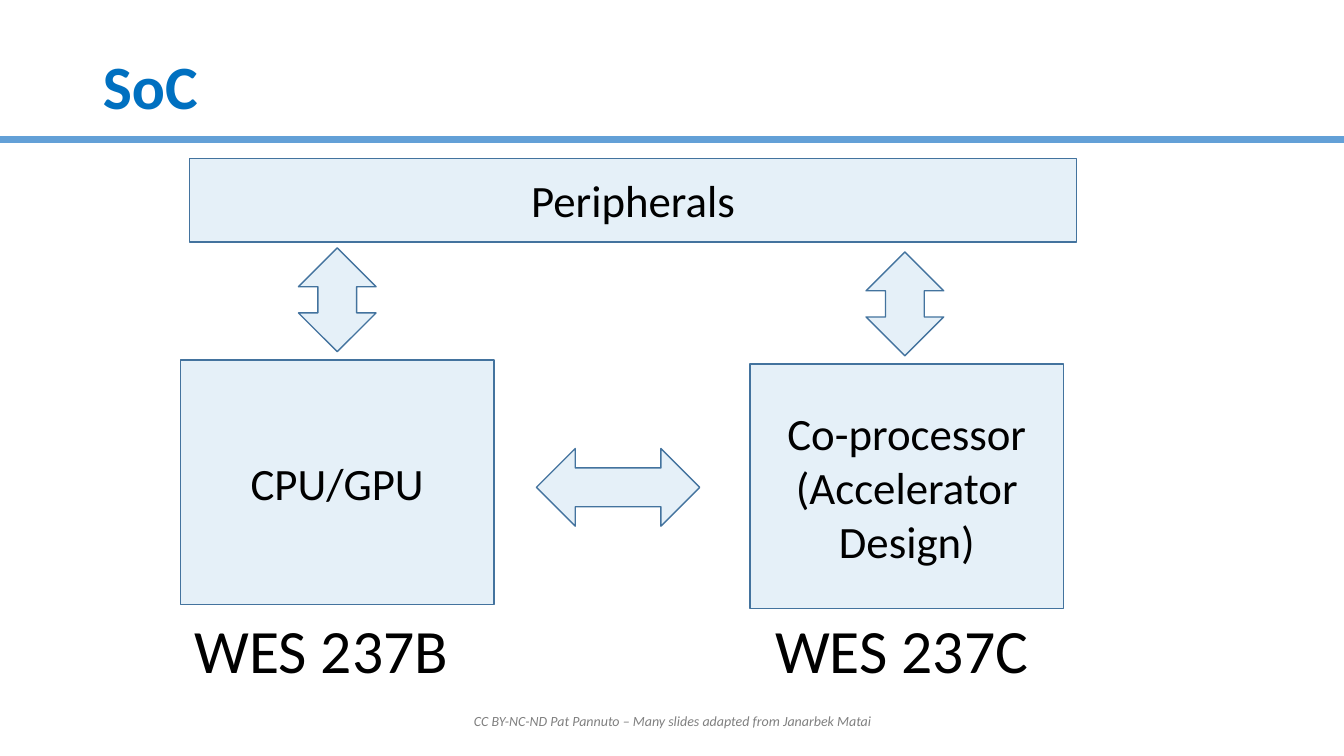
from dataclasses import dataclass

from lxml.etree import SubElement
from pptx import Presentation
from pptx.dml.color import RGBColor as Rgb
from pptx.enum.shapes import MSO_CONNECTOR as Link, MSO_SHAPE as Kind
from pptx.enum.text import MSO_ANCHOR as Anchor, MSO_AUTO_SIZE as Fit, PP_ALIGN as Align
from pptx.oxml.ns import qn
from pptx.slide import Slide
from pptx.text.text import TextFrame
from pptx.util import Inches, Pt

COLORS = {
    "rule": "63A0D7",
    "accent": "0070C0",
    "edge": "43739E",
    "text": "000000",
    "credit": "808080",
}


@dataclass
class Block:
    left: float
    top: float
    width: float
    height: float
    text: str = ""
    kind: Kind = Kind.RECTANGLE
    turn: float = 0


@dataclass
class Label:
    left: float
    top: float
    width: float
    height: float
    text: str
    size: float = 44
    color: str = "text"
    italic: bool = False
    wrap: bool = False
    fit: Fit = Fit.SHAPE_TO_FIT_TEXT
    align: Align = Align.LEFT
    anchor: Anchor = Anchor.TOP


ARROW = Kind.LEFT_RIGHT_ARROW
BLOCKS = [
    Block(1.79, 3.57, 3.11, 2.43, "CPU/GPU"),
    Block(7.44, 3.61, 3.11, 2.43, "Co-processor (Accelerator Design)"),
    Block(1.88, 1.57, 8.8, 0.83, "Peripherals"),
    Block(5.32, 4.45, 1.62, 0.77, kind=ARROW),
    Block(8.46, 2.63, 1.03, 0.77, kind=ARROW, turn=90),
    Block(2.83, 2.59, 1.03, 0.77, kind=ARROW, turn=90),
]
LABELS = [
    Label(1.83, 6.02, 2.74, 0.84, "WES 237B"),
    Label(7.59, 6.02, 2.74, 0.84, "WES 237C"),
    Label(4.42, 6.95, 4.5, 0.4,
          "CC BY-NC-ND Pat Pannuto – Many slides adapted from Janarbek Matai",
          size=10, color="credit", italic=True, wrap=True, fit=Fit.NONE,
          align=Align.CENTER, anchor=Anchor.MIDDLE),
]


def rgb(name: str) -> Rgb:
    return Rgb.from_string(COLORS[name])


def box(item: Block | Label) -> list[Inches]:
    return [Inches(n) for n in (item.left, item.top, item.width, item.height)]


def write(frame: TextFrame, text: str, size: float, color: str,
          align: Align, anchor: Anchor, bold: bool = False,
          italic: bool = False) -> None:
    frame.text = text
    frame.vertical_anchor = anchor
    para = frame.paragraphs[0]
    para.alignment = align
    font = para.font
    font.name = "Calibri"
    font.size = Pt(size)
    font.bold = bold
    font.italic = italic
    font.color.rgb = rgb(color)


def draw_block(slide: Slide, block: Block) -> None:
    shape = slide.shapes.add_shape(block.kind, *box(block))
    shape.rotation = block.turn
    shape.shadow.inherit = False
    shape.fill.solid()
    shape.fill.fore_color.rgb = rgb("accent")
    tint = shape.fill._xPr.find(qn("a:solidFill")).find(qn("a:srgbClr"))
    SubElement(tint, qn("a:alpha"), val="10000")
    shape.line.color.rgb = rgb("edge")
    shape.line.width = Pt(1)
    if block.text:
        shape.text_frame.word_wrap = True
        write(shape.text_frame, block.text, 32, "text", Align.CENTER, Anchor.MIDDLE)


def draw_label(slide: Slide, label: Label) -> None:
    frame = slide.shapes.add_textbox(*box(label)).text_frame
    frame.word_wrap = label.wrap
    frame.auto_size = label.fit
    write(frame, label.text, label.size, label.color, label.align,
          label.anchor, italic=label.italic)


def draw_rule(slide: Slide, width: Inches) -> None:
    y = Inches(1.38)
    rule = slide.shapes.add_connector(Link.STRAIGHT, width, y, 0, y)
    rule.line.color.rgb = rgb("rule")
    rule.line.width = Pt(5)
    SubElement(rule._element.spPr, qn("a:effectLst"))


def draw_title(slide: Slide) -> None:
    title = slide.shapes.title
    title.left, title.top = Inches(0.92), Inches(0.4)
    title.width, title.height = Inches(11.5), Inches(0.98)
    frame = title.text_frame
    write(frame, "SoC", 44, "accent", Align.LEFT, Anchor.MIDDLE, bold=True)
    frame.auto_size = Fit.NONE
    frame.paragraphs[0].line_spacing = 0.9


def main() -> None:
    deck = Presentation()
    deck.slide_width, deck.slide_height = Inches(13.33), Inches(7.5)
    slide = deck.slides.add_slide(deck.slide_layouts[5])
    draw_rule(slide, deck.slide_width)
    draw_title(slide)
    for block in BLOCKS:
        draw_block(slide, block)
    for label in LABELS:
        draw_label(slide, label)
    deck.save("out.pptx")


if __name__ == "__main__":
    main()
